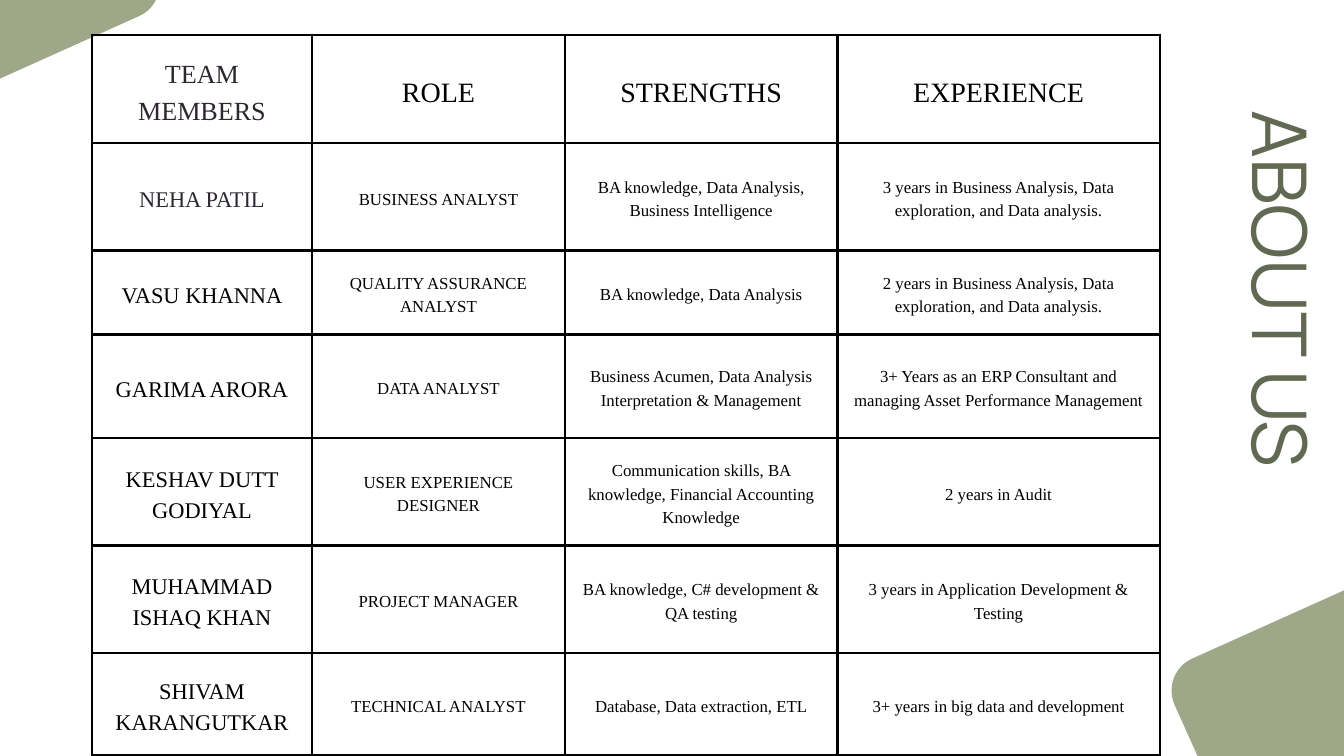
from dataclasses import dataclass

from lxml import etree
from pptx import Presentation
from pptx import util as u
from pptx.dml.color import RGBColor
from pptx.enum import shapes, text
from pptx.oxml.ns import qn


@dataclass(frozen=True)
class Theme:
    sage: str = "9EA788"
    olive: str = "626953"
    ink: str = "000000"
    plum: str = "2D272F"
    title_font: str = "Manrope"
    table_font: str = "Times New Roman"
    title_size: float = 80.9
    header_size: int = 30
    corner_size: int = 28
    name_size: int = 24
    body_size: int = 18
    leading: float = 1.4
    border: int = 3


COLUMNS = [3.27, 3.77, 4.05, 4.8]
ROW_HEIGHTS = [1.61, 1.6, 1.25, 1.54, 1.6, 1.6, 1.52]
TEAM = [
    ("TEAM MEMBERS", "ROLE", "STRENGTHS", "EXPERIENCE"),
    ("NEHA PATIL", "BUSINESS ANALYST",
     "BA knowledge, Data Analysis, Business Intelligence",
     "3 years in Business Analysis, Data exploration, and Data analysis."),
    ("VASU KHANNA", "QUALITY ASSURANCE ANALYST", "BA knowledge, Data Analysis",
     "2 years in Business Analysis, Data exploration, and Data analysis."),
    ("GARIMA ARORA", "DATA ANALYST",
     "Business Acumen, Data Analysis Interpretation & Management",
     "3+ Years as an ERP Consultant and managing Asset Performance Management"),
    ("KESHAV DUTT GODIYAL", "USER EXPERIENCE DESIGNER",
     "Communication skills, BA knowledge, Financial Accounting Knowledge",
     "2 years in Audit"),
    ("MUHAMMAD ISHAQ KHAN", "PROJECT MANAGER",
     "BA knowledge, C# development & QA testing",
     "3 years in Application Development & Testing"),
    ("SHIVAM KARANGUTKAR", "TECHNICAL ANALYST",
     "Database, Data extraction, ETL", "3+ years in big data and development"),
]


class SlideBuilder:
    def __init__(self, slide, theme):
        self.s = slide
        self.theme = theme

    def set_font(self, p, name, size, color):
        p.font.name = name
        p.font.size = u.Pt(size)
        p.font.bold = False
        p.font.color.rgb = RGBColor.from_string(color)

    def corner_block(self, x, y, w, h):
        sp = self.s.shapes.add_shape(
            shapes.MSO_SHAPE.ROUNDED_RECTANGLE, *map(u.Inches, (x, y, w, h)))
        sp.adjustments[0] = 0.16
        sp.rotation = 335.8
        sp.shadow.inherit = False
        sp.fill.solid()
        sp.fill.fore_color.rgb = RGBColor.from_string(self.theme.sage)
        sp.line.fill.background()

    def title(self, words, x, y, w, h):
        sp = self.s.shapes.title
        sp.left, sp.top, sp.width, sp.height = map(u.Inches, (x, y, w, h))
        sp.rotation = 90
        # Draw the title above the table
        self.s.shapes._spTree.append(sp._element)
        tf = sp.text_frame
        tf.text = words
        tf.word_wrap = True
        tf.auto_size = text.MSO_AUTO_SIZE.NONE
        tf.vertical_anchor = text.MSO_ANCHOR.TOP
        tf.margin_left = tf.margin_right = tf.margin_top = tf.margin_bottom = 0
        p = tf.paragraphs[0]
        p.alignment = text.PP_ALIGN.LEFT
        p.line_spacing = u.Pt(89)
        self.set_font(p, self.theme.title_font, self.theme.title_size, self.theme.olive)

    def borders(self, cell):
        tc_pr = cell._tc.get_or_add_tcPr()
        for side in ("a:lnL", "a:lnR", "a:lnT", "a:lnB"):
            ln = etree.SubElement(tc_pr, qn(side), w=str(u.Pt(self.theme.border)))
            fill = etree.SubElement(ln, qn("a:solidFill"))
            etree.SubElement(fill, qn("a:srgbClr"), val=self.theme.ink)

    def cell_style(self, row, col):
        t = self.theme
        if row == 0:
            return (t.corner_size, t.plum) if col == 0 else (t.header_size, t.ink)
        if col == 0:
            return t.name_size, t.plum if row == 1 else t.ink
        return t.body_size, t.ink

    def table(self, rows, x, y, widths, heights):
        frame = self.s.shapes.add_table(
            len(rows), len(widths),
            *map(u.Inches, (x, y, sum(widths), sum(heights))))
        tbl = frame.table
        tbl.first_row = tbl.horz_banding = False
        for column, width in zip(tbl.columns, widths):
            column.width = u.Inches(width)
        for i, (values, height) in enumerate(zip(rows, heights)):
            tbl.rows[i].height = u.Inches(height)
            for j, value in enumerate(values):
                cell = tbl.cell(i, j)
                cell.text = value
                cell.vertical_anchor = text.MSO_ANCHOR.MIDDLE
                cell.margin_left = cell.margin_right = u.Inches(0.21)
                cell.margin_top = cell.margin_bottom = u.Inches(0.21)
                self.borders(cell)
                cell.fill.background()
                size, color = self.cell_style(i, j)
                p = cell.text_frame.paragraphs[0]
                p.alignment = text.PP_ALIGN.CENTER
                p.line_spacing = u.Pt(size * self.theme.leading)
                self.set_font(p, self.theme.table_font, size, color)


def main():
    prs = Presentation()
    prs.slide_width, prs.slide_height = u.Inches(20), u.Inches(11.25)
    slide = prs.slides.add_slide(prs.slide_layouts[5])
    builder = SlideBuilder(slide, Theme())

    # Corner decoration
    builder.corner_block(17.64, 8.5, 6.69, 3.26)
    builder.corner_block(-4.69, -1.57, 6.88, 3.15)

    # Team table
    builder.table(TEAM, 1.37, 0.52, COLUMNS, ROW_HEIGHTS)

    # Vertical title
    builder.title("ABOUT US", 15, 4.95, 7.95, 1.34)

    prs.save("out.pptx")


if __name__ == "__main__":
    main()
